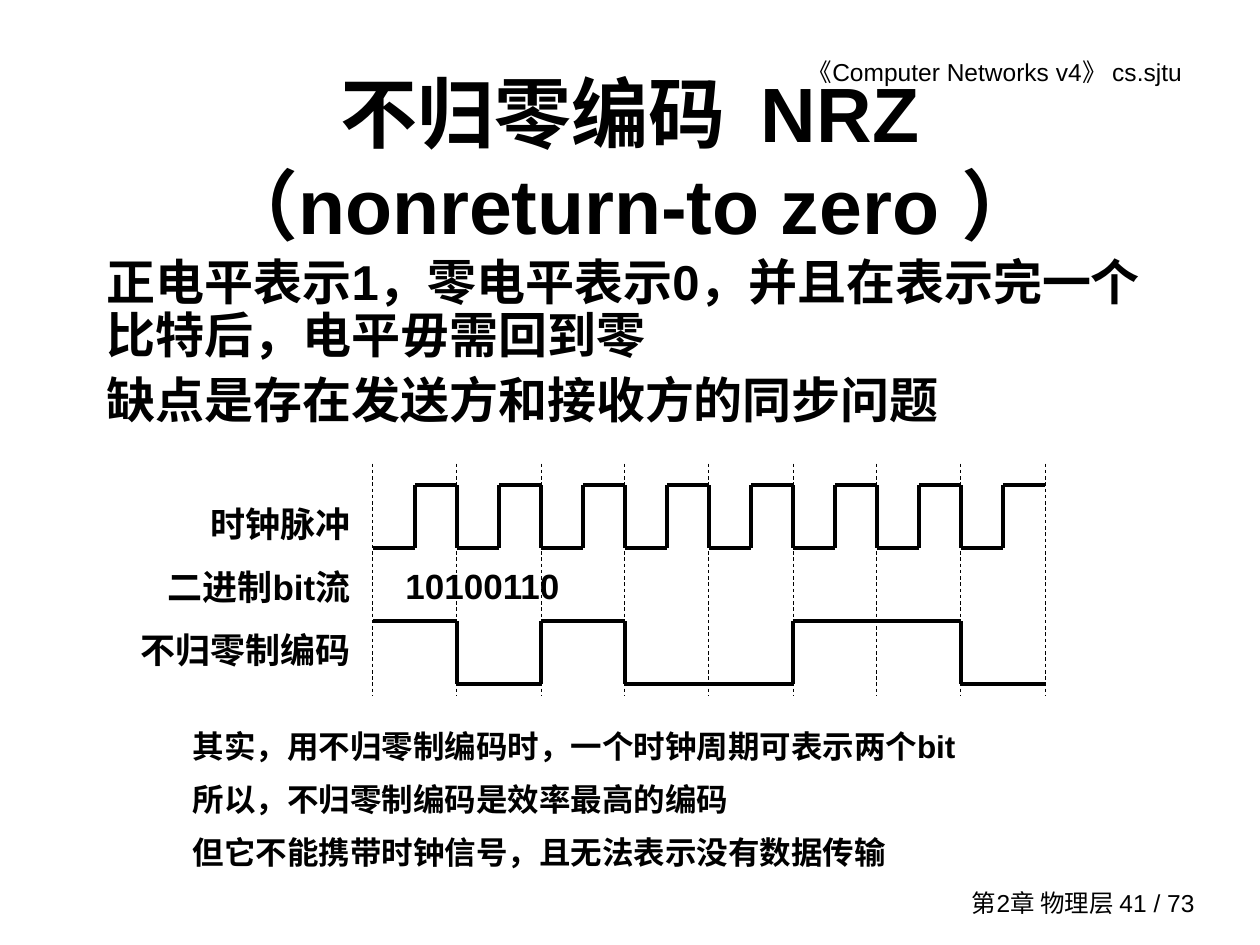
import itertools
from dataclasses import dataclass

import pptx
import pptx.dml.color
import pptx.enum.dml
import pptx.enum.shapes
import pptx.enum.text
import pptx.oxml
import pptx.oxml.ns
import pptx.util

ALIGN = pptx.enum.text.PP_ALIGN
ANCHOR = pptx.enum.text.MSO_ANCHOR
Inches, Pt = pptx.util.Inches, pptx.util.Pt

# Content
TITLE = ["不归零编码  NRZ\v（nonreturn-to zero ）"]
COURSE = ["《Computer Networks v4》 cs.sjtu"]
CHAPTER = ["第2章 物理层 41 / 73"]
DEFINITION = [
    "正电平表示1，零电平表示0，并且在表示完一个比特后，电平毋需回到零",
    "缺点是存在发送方和接收方的同步问题",
]
ROW_LABELS = ["时钟脉冲", "二进制bit流", "不归零制编码"]
BITS = "10100110"
REMARKS = [
    "其实，用不归零制编码时，一个时钟周期可表示两个bit",
    "所以，不归零制编码是效率最高的编码",
    "但它不能携带时钟信号，且无法表示没有数据传输",
]


@dataclass(frozen=True)
class Theme:
    ink: pptx.dml.color.RGBColor = pptx.dml.color.RGBColor(0, 0, 0)
    face: str = "Arial"
    title: float = 44
    body: float = 28
    label: float = 20
    remark: float = 18
    margin_note: float = 14
    signal: float = 2
    guide: float = 0.5


THEME = Theme()

# Timing grid, in inches: two columns per bit
GRID_LEFT, BIT_WIDTH = 2.96, 2 / 3
GUIDE_TOP, GUIDE_BOTTOM = 3.68, 5.52
CLOCK_TOP, NRZ_TOP, SWING = 3.85, 4.93, 0.5

deck = pptx.Presentation()
deck.slide_width, deck.slide_height = Inches(10), Inches(7.5)
slide = deck.slides.add_slide(deck.slide_layouts[5])


def write(shape, lines, size, bold=True, anchor=ANCHOR.TOP, right_inset=0.1,
          gap=0, **paragraph_format):
    frame = shape.text_frame
    frame_format = {
        "word_wrap": True,
        "auto_size": pptx.enum.text.MSO_AUTO_SIZE.NONE,
        "vertical_anchor": anchor,
        "margin_left": Inches(0.1),
        "margin_right": Inches(right_inset),
        "margin_top": Inches(0.05),
        "margin_bottom": Inches(0.05),
    }
    for key, value in frame_format.items():
        setattr(frame, key, value)
    for index, line in enumerate(lines):
        paragraph = frame.paragraphs[0] if index == 0 else frame.add_paragraph()
        paragraph.text = line
        paragraph.space_before = Pt(gap if index else 0)
        for key, value in paragraph_format.items():
            setattr(paragraph, key, value)
        font_format = {"name": THEME.face, "size": Pt(size), "bold": bold}
        for run in paragraph.runs:
            for key, value in font_format.items():
                setattr(run.font, key, value)
            run.font.color.rgb = THEME.ink


def text_box(box, lines, size, **text_format):
    write(slide.shapes.add_textbox(*map(Inches, box)), lines, size, **text_format)


def stroke(start, end, weight, dash=None):
    line = slide.shapes.add_connector(
        pptx.enum.shapes.MSO_CONNECTOR.STRAIGHT, *map(Inches, (*start, *end)))
    line.line.color.rgb = THEME.ink
    line.line.width = Pt(weight)
    if dash:
        line.line.dash_style = dash
    properties = line._element.spPr
    properties.append(properties.makeelement(pptx.oxml.ns.qn("a:effectLst"), {}))


def waveform(levels, top, step):
    """Flat runs of equal level, joined by vertical edges."""
    x, previous = GRID_LEFT, None
    for level, run in itertools.groupby(levels):
        y = top if level == "1" else top + SWING
        if previous is not None:
            stroke((x, top), (x, top + SWING), THEME.signal)
        end = x + step * len(list(run))
        stroke((x, y), (end, y), THEME.signal)
        x, previous = end, level


# Header and footer
text_box((5.28, 0.4, 4.31, 0.34), COURSE, THEME.margin_note, bold=False,
         right_inset=0.21, alignment=ALIGN.RIGHT)
text_box((7.32, 7, 2.26, 0.33), CHAPTER, THEME.margin_note, bold=False,
         anchor=ANCHOR.MIDDLE, alignment=ALIGN.RIGHT)

# Title and definition
title = slide.shapes.title
for side, length in {"left": 0.75, "top": 0.5, "width": 8.5, "height": 1.5}.items():
    setattr(title, side, Inches(length))
write(title, TITLE, THEME.title, anchor=ANCHOR.MIDDLE, alignment=ALIGN.CENTER)
text_box((0.75, 2, 8.7, 1.52), DEFINITION, THEME.body, gap=7, line_spacing=0.9)

# Timing diagram
waveform("01" * len(BITS), CLOCK_TOP, BIT_WIDTH / 2)
text_box((3.12, 4.43, 5, 0.44), [BITS], THEME.label)
waveform(BITS, NRZ_TOP, BIT_WIDTH)
for column in range(len(BITS) + 1):
    x = GRID_LEFT + column * BIT_WIDTH
    stroke((x, GUIDE_TOP), (x, GUIDE_BOTTOM), THEME.guide,
           pptx.enum.dml.MSO_LINE.DASH)
text_box((0.96, 3.77, 1.92, 1.83), ROW_LABELS, THEME.label,
         alignment=ALIGN.RIGHT, line_spacing=1.5)

# Remarks
text_box((1.43, 5.6, 6.66, 1.36), REMARKS, THEME.remark, line_spacing=1.4)

deck.save("out.pptx")
